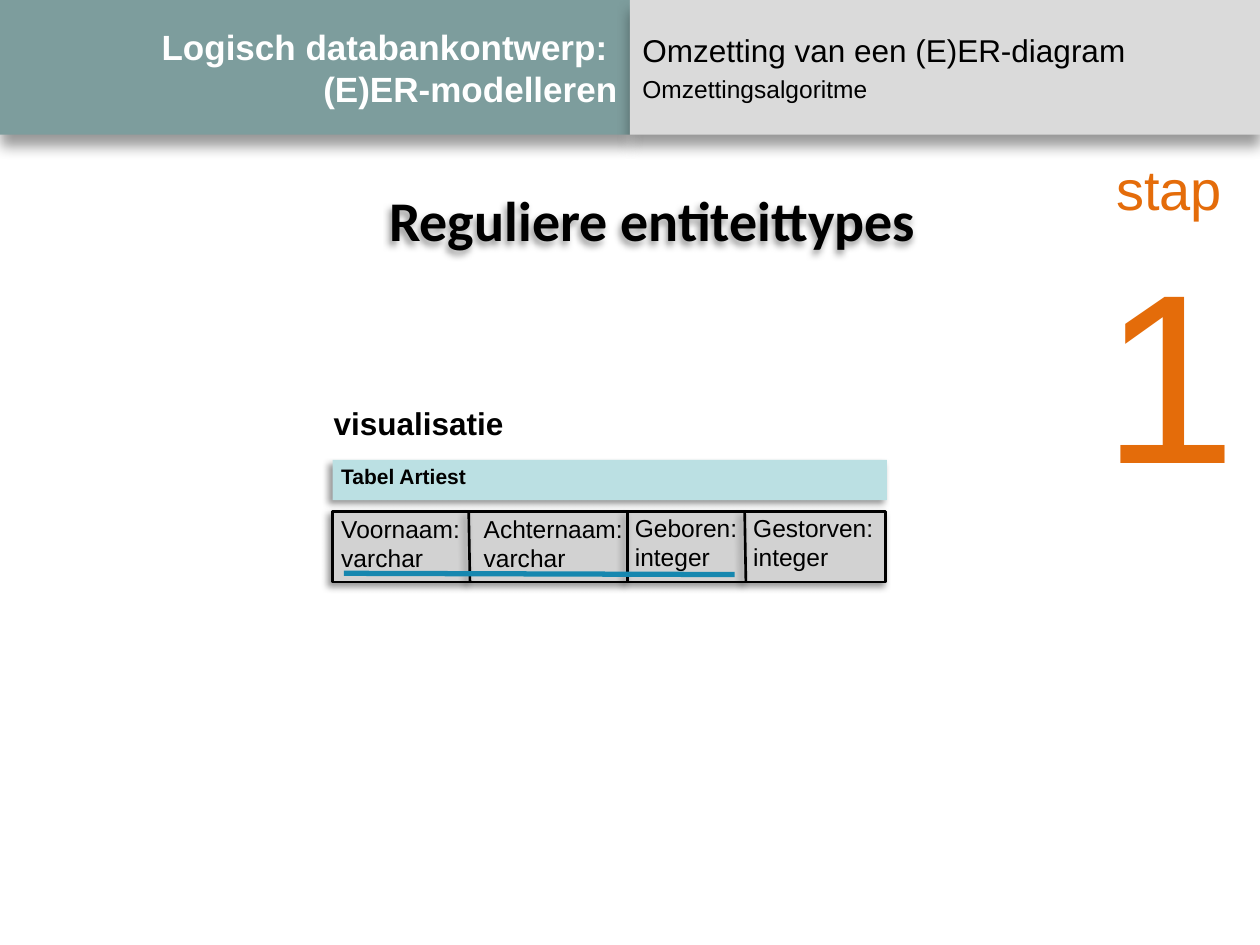
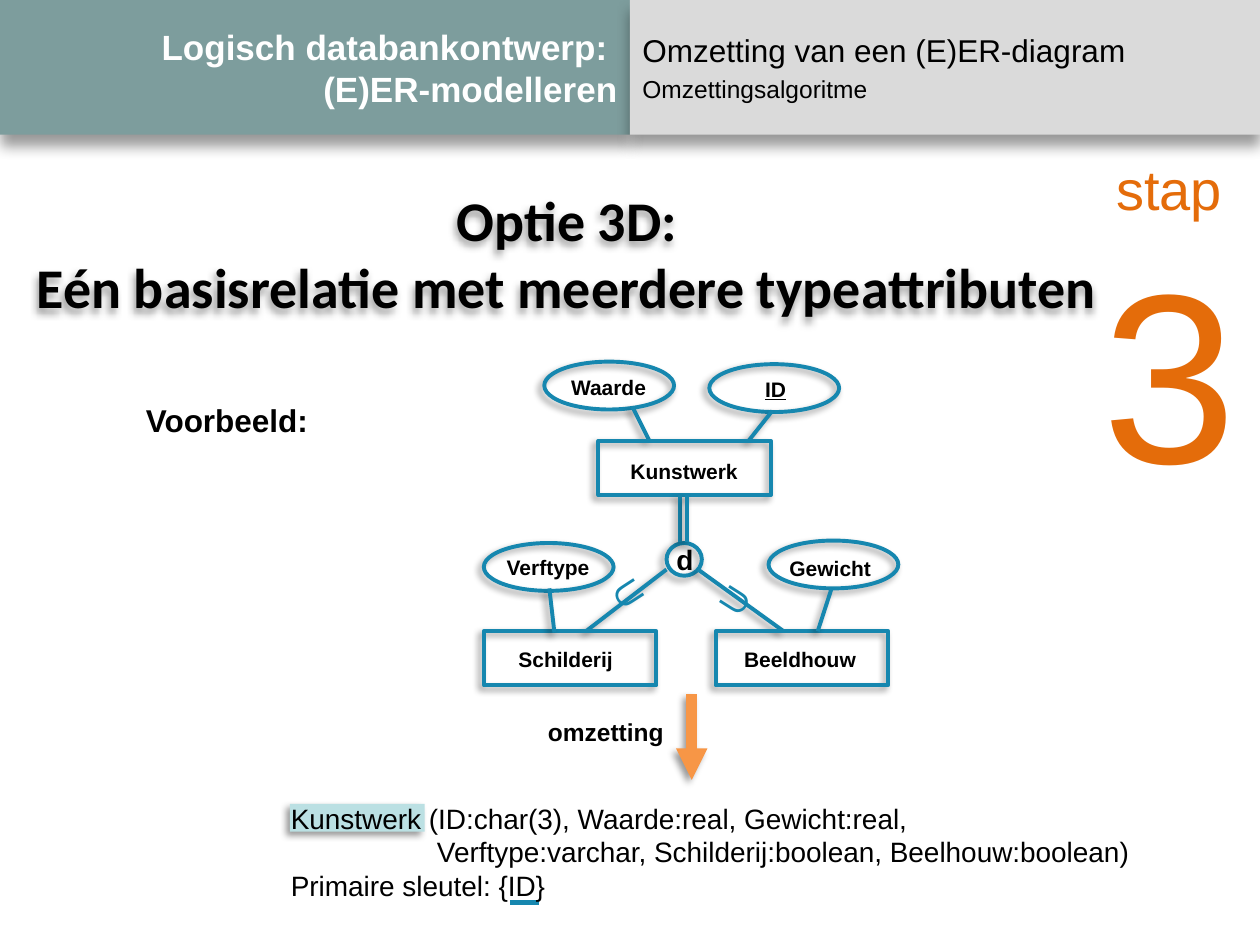
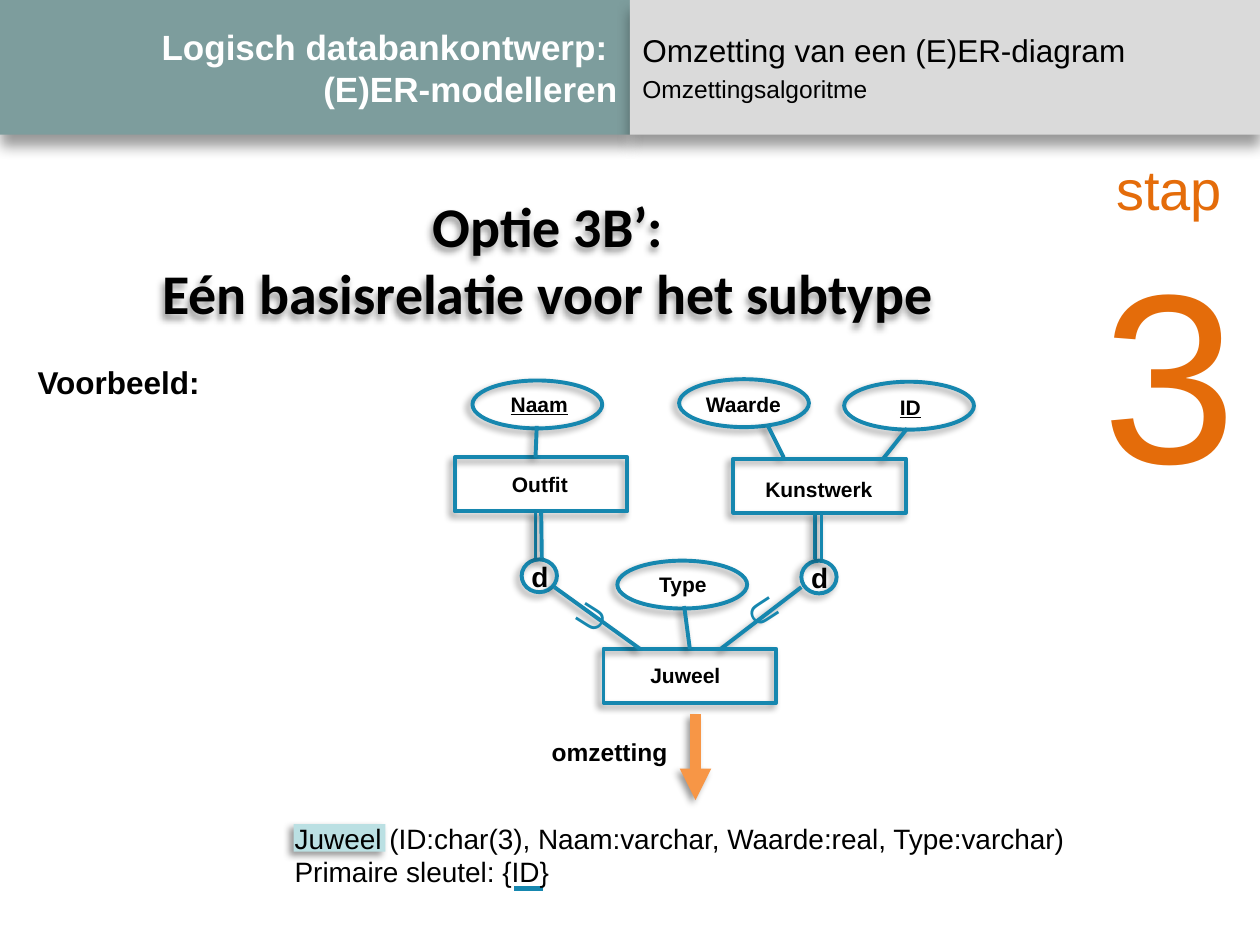
import lxml.etree
import pptx
import pptx.dml.color
import pptx.enum.shapes
import pptx.enum.text
import pptx.oxml.ns
import pptx.util

Inches = pptx.util.Inches
Pt = pptx.util.Pt
SHAPES = pptx.enum.shapes.MSO_SHAPE
ALIGN = pptx.enum.text.PP_ALIGN
ANCHOR = pptx.enum.text.MSO_ANCHOR

BLACK, WHITE = "000000", "FFFFFF"
TEAL, GREY = "7D9D9D", "DADADA"
BLUE, PALE_BLUE = "1687AF", "BBE0E3"
STEP_ORANGE, ARROW_ORANGE = "E46C0A", "F79646"
CELL_GREY = "D2D2D2"

BAND_SHADOW = (8, 6, 90)
SOFT_SHADOW = (4, 3, 135)
OVAL_SIZE = (1.03, 0.38)
BOX_SIZE = (1.37, 0.43)


def color(hex_value):
    return pptx.dml.color.RGBColor.from_string(hex_value)


def add_element(parent, tag, **attributes):
    values = {name: str(value) for name, value in attributes.items()}
    return lxml.etree.SubElement(parent, pptx.oxml.ns.qn(tag), values)


def set_shadow(shape, shadow):
    effects = add_element(shape._element.spPr, "a:effectLst")
    if shadow:
        blur, distance, angle = shadow
        outer = add_element(effects, "a:outerShdw", blurRad=Pt(blur), dist=Pt(distance),
                            dir=angle * 60000, algn="ctr", rotWithShape=0)
        black = add_element(outer, "a:srgbClr", val=BLACK)
        add_element(black, "a:alpha", val=40000)


def write(frame, text, size=12, sizes=None, font="Arial", ink=BLACK, bold=False,
          underline=False, align=ALIGN.LEFT, anchor=ANCHOR.TOP, wrap=False,
          space_before=0, indents=None):
    frame.word_wrap = wrap
    frame.vertical_anchor = anchor
    for index, line in enumerate(text.split("\n")):
        paragraph = frame.paragraphs[0] if index == 0 else frame.add_paragraph()
        paragraph.text = line
        paragraph.alignment = align
        if index and space_before:
            paragraph.space_before = Pt(space_before)
        if indents and indents[index]:
            paragraph._p.get_or_add_pPr().set("marL", str(Inches(indents[index])))
        for run in paragraph.runs:
            run.font.size = Pt(sizes[index] if sizes else size)
            run.font.name = font
            run.font.bold = bold
            run.font.underline = underline
            run.font.color.rgb = color(ink)


def add_text(slide, text, left, top, width, height, rotation=0, shadow=None, **style):
    box = slide.shapes.add_textbox(Inches(left), Inches(top), Inches(width), Inches(height))
    box.rotation = rotation
    write(box.text_frame, text, **style)
    if shadow:
        set_shadow(box, shadow)


def add_figure(slide, kind, left, top, width, height, fill=None, line=None,
               weight=2.25, shadow=SOFT_SHADOW):
    figure = slide.shapes.add_shape(kind, Inches(left), Inches(top), Inches(width), Inches(height))
    if fill:
        figure.fill.solid()
        figure.fill.fore_color.rgb = color(fill)
    else:
        figure.fill.background()
    if line:
        figure.line.color.rgb = color(line)
        figure.line.width = Pt(weight)
    else:
        figure.line.fill.background()
    set_shadow(figure, shadow)
    return figure


def add_line(slide, start, end, ink=BLUE, weight=2.25, shadow=SOFT_SHADOW, arrow=False):
    points = [Inches(value) for value in (*start, *end)]
    line = slide.shapes.add_connector(pptx.enum.shapes.MSO_CONNECTOR.STRAIGHT, *points)
    line.line.color.rgb = color(ink)
    line.line.width = Pt(weight)
    if arrow:
        add_element(line.line._get_or_add_ln(), "a:tailEnd", type="triangle")
    set_shadow(line, shadow)
    return line


def add_header(slide, step):
    topic = add_figure(slide, SHAPES.RECTANGLE, 0, 0, 5, 1.07, fill=TEAL, shadow=BAND_SHADOW)
    write(topic.text_frame, "Logisch databankontwerp: \v(E)ER-modelleren", size=20, ink=WHITE,
          bold=True, align=ALIGN.RIGHT, anchor=ANCHOR.MIDDLE, wrap=True)
    section = add_figure(slide, SHAPES.RECTANGLE, 5, 0, 5, 1.07, fill=GREY, shadow=BAND_SHADOW)
    write(section.text_frame, "Omzetting van een (E)ER-diagram\nOmzettingsalgoritme",
          sizes=(18, 14), anchor=ANCHOR.MIDDLE, wrap=True, space_before=2.8)
    add_text(slide, f"stap\n{step}", 8.63, 1.18, 1.3, 2.96, sizes=(32, 138),
             ink=STEP_ORANGE, align=ALIGN.CENTER)


def add_heading(slide, text, left, top, width, height):
    add_text(slide, text, left, top, width, height, size=32, font="Calibri", bold=True,
             align=ALIGN.CENTER, shadow=SOFT_SHADOW)


def add_caption(slide, text, left, top, width):
    add_text(slide, text, left, top, width, 0.4, size=18, bold=True)


def add_node(slide, kind, size, name, left, top, label_left, label_top, label_width,
             underline=False):
    node = add_figure(slide, kind, left, top, *size, line=BLUE)
    add_text(slide, name, label_left, label_top, label_width, 0.3, bold=True,
             underline=underline, align=ALIGN.CENTER)
    return node


def add_attribute(slide, name, *place, key=False):
    return add_node(slide, SHAPES.OVAL, OVAL_SIZE, name, *place, underline=key)


def add_entity(slide, name, *place):
    return add_node(slide, SHAPES.RECTANGLE, BOX_SIZE, name, *place)


def add_disjoint(slide, left, top, owner=None):
    add_figure(slide, SHAPES.OVAL, left, top, 0.28, 0.26, line=BLUE)
    add_text(slide, "d", left - 0.02, top - 0.05, 0.34, 0.37, size=16, bold=True)
    for offset in (0.11, 0.16):
        x = left + offset
        total = add_line(slide, (x, top - 0.01), (x, top - 0.38))
    if owner:
        total.end_connect(owner, 2)


def add_subset(slide, start, end, sign_left, sign_top, rotation):
    add_line(slide, start, end)
    add_text(slide, "∪", sign_left, sign_top, 0.46, 0.5, rotation=rotation, size=24,
             ink=BLUE, bold=True)


def add_left_subset(slide, left, top):
    add_subset(slide, (left - 0.64, top + 0.7), (left, top + 0.21),
               left - 0.5, top + 0.15, 57.1)


def add_right_subset(slide, left, top):
    add_subset(slide, (left + 0.93, top + 0.7), (left + 0.25, top + 0.21),
               left + 0.3, top + 0.18, 302.3)


def add_artwork(slide, left, top):
    add_attribute(slide, "ID", left + 0.88, top - 0.61, left + 1.22, top - 0.56, 0.37, key=True)
    add_line(slide, (left + 1.19, top), (left + 1.38, top - 0.24))
    add_attribute(slide, "Waarde", left - 0.43, top - 0.63, left - 0.32, top - 0.58, 0.8)
    add_line(slide, (left + 0.4, top - 0.01), (left + 0.27, top - 0.27))
    add_entity(slide, "Kunstwerk", left, top, left + 0.15, top + 0.09, 1.06)
    add_disjoint(slide, left + 0.54, top + 0.81)
    add_left_subset(slide, left + 0.54, top + 0.81)


def add_conversion(slide, relation, left, top, height, name_width, indents=None):
    add_line(slide, (left + 3.28, top - 0.8), (left + 3.28, top - 0.12), ink=ARROW_ORANGE,
             weight=6, arrow=True)
    add_text(slide, "omzetting", left + 2.04, top - 0.67, 1.13, 0.34, size=14, bold=True)
    add_figure(slide, SHAPES.RECTANGLE, left + 0.09, top + 0.07, name_width, 0.22, fill=PALE_BLUE)
    key_y = top + height - 0.06
    add_line(slide, (left + 1.84, key_y), (left + 2.07, key_y), weight=3, shadow=None)
    add_text(slide, relation + "\nPrimaire sleutel: {ID}", left, top, 7.12, height, size=16,
             wrap=True, indents=indents)


def build_regular_types(slide):
    add_header(slide, 1)
    add_heading(slide, "Reguliere entiteittypes", 2.96, 1.42, 4.44, 0.64)
    add_figure(slide, SHAPES.RECTANGLE, 2.64, 3.65, 4.4, 0.32, fill=PALE_BLUE)
    add_text(slide, "Tabel Artiest", 2.61, 3.63, 1.2, 0.3, bold=True)
    add_figure(slide, SHAPES.RECTANGLE, 2.64, 4.06, 4.39, 0.56, fill=CELL_GREY, line=BLACK,
               weight=1.5)
    columns = (
        ("Voornaam:\nvarchar", 2.61, 4.03, 1.15),
        ("Achternaam:\nvarchar", 3.74, 4.03, 1.31),
        ("Geboren:\ninteger", 4.94, 4.02, 1.02),
        ("Gestorven:\ninteger", 5.88, 4.02, 1.16),
    )
    for column, left, top, width in columns:
        add_text(slide, column, left, top, width, 0.57, size=14)
    for top_x, bottom_x in ((3.72, 3.73), (4.98, 4.98), (5.91, 5.92)):
        add_line(slide, (top_x, 4.06), (bottom_x, 4.62), ink=BLACK, weight=1.5)
    add_caption(slide, "visualisatie", 2.55, 3.16, 1.56)
    add_line(slide, (2.73, 4.55), (5.83, 4.56), weight=3, shadow=None)


def build_type_attributes(slide):
    add_header(slide, 3)
    add_caption(slide, "Voorbeeld:", 1.06, 3.13, 1.5)
    add_artwork(slide, 4.75, 3.5)
    add_right_subset(slide, 5.29, 4.31)
    add_entity(slide, "Schilderij", 3.84, 5.01, 4.01, 5.08, 0.96)
    add_entity(slide, "Beeldhouw", 5.68, 5.01, 5.8, 5.08, 1.1)
    add_attribute(slide, "Verftype", 3.84, 4.31, 3.92, 4.35, 0.86)
    add_line(slide, (4.4, 5.02), (4.36, 4.67))
    add_attribute(slide, "Gewicht", 6.1, 4.29, 6.16, 4.36, 0.86)
    add_line(slide, (6.49, 5.01), (6.6, 4.67))
    add_conversion(slide, "Kunstwerk (ID:char(3), Waarde:real, Gewicht:real,\n"
                   "Verftype:varchar, Schilderij:boolean, Beelhouw:boolean)",
                   2.21, 6.31, 0.91, 1.07, indents=(0, 1.16, 0))
    add_heading(slide, "Optie 3D:\nEén basisrelatie met meerdere typeattributen",
                0.15, 1.42, 8.7, 1.18)


def build_subtype(slide):
    add_header(slide, 3)
    add_caption(slide, "Voorbeeld:", 0.2, 2.83, 1.5)
    add_artwork(slide, 5.82, 3.64)
    juweel = add_entity(slide, "Juweel", 4.79, 5.15, 5.06, 5.21, 0.76)
    outfit = add_entity(slide, "Outfit", 3.61, 3.63, 3.96, 3.69, 0.65)
    add_disjoint(slide, 4.14, 4.44, owner=outfit)
    add_right_subset(slide, 4.15, 4.45)
    add_attribute(slide, "Type", 4.9, 4.45, 5.13, 4.49, 0.58)
    type_link = add_line(slide, (5.47, 5.15), (5.43, 4.81))
    type_link.begin_connect(juweel, 0)
    add_attribute(slide, "Naam", 3.75, 3.02, 3.95, 3.06, 0.66, key=True)
    add_line(slide, (4.25, 3.63), (4.26, 3.38))
    add_heading(slide, "Optie 3B’:\nEén basisrelatie voor het subtype", 1.11, 1.47, 6.48, 1.18)
    add_conversion(slide, "Juweel (ID:char(3), Naam:varchar, Waarde:real, Type:varchar)",
                   2.24, 6.47, 0.64, 0.73)


def main():
    deck = pptx.Presentation()
    deck.slide_width, deck.slide_height = Inches(10), Inches(7.5)
    for build in (build_regular_types, build_type_attributes, build_subtype):
        build(deck.slides.add_slide(deck.slide_layouts[6]))
    deck.save("out.pptx")


if __name__ == "__main__":
    main()
